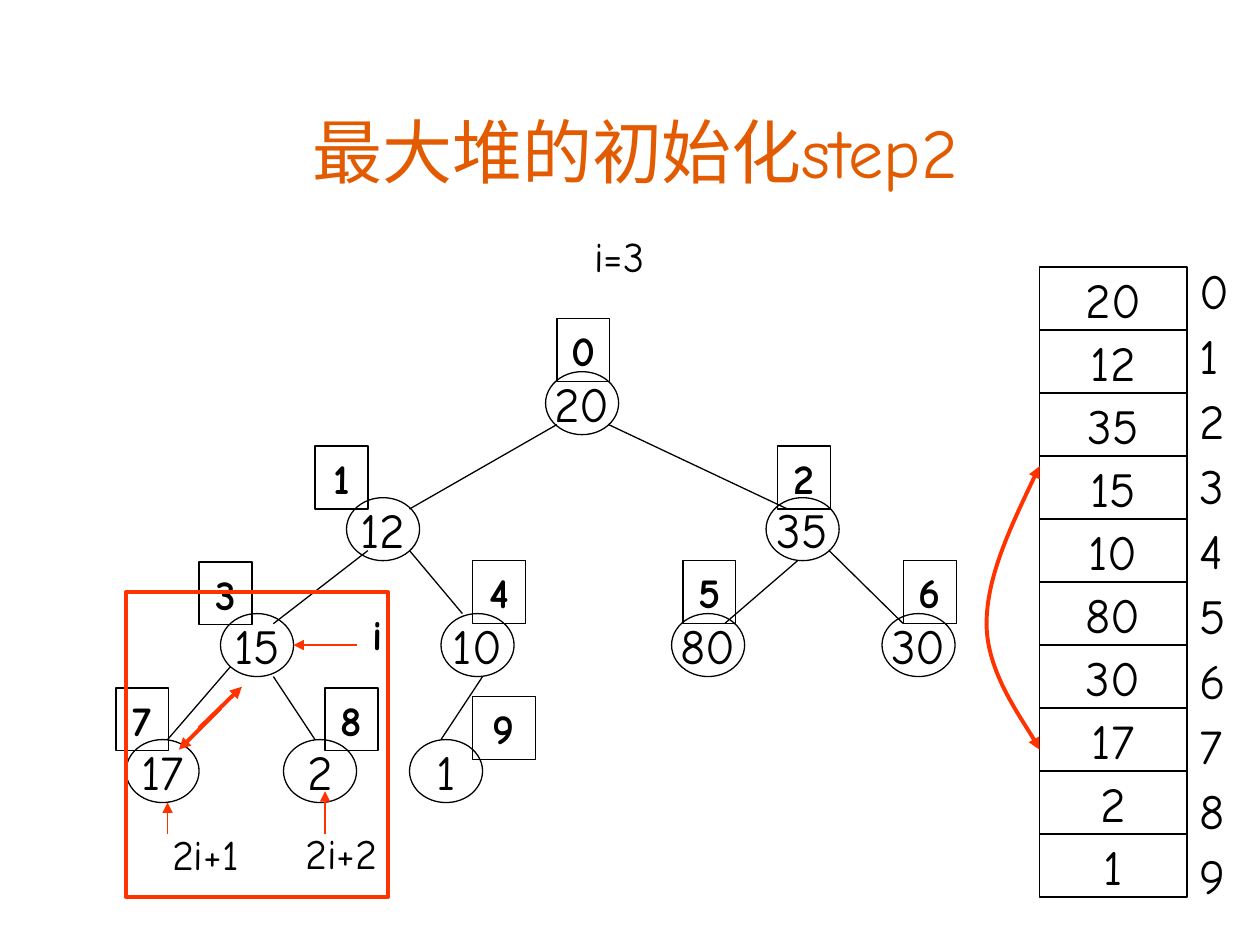
from lxml import etree
from pptx import Presentation, util as u
from pptx.dml.color import RGBColor
from pptx.enum import shapes as sh, text as tx
from pptx.oxml.ns import qn

FONT, INK, RED, RUST = "Comic Neue", "000000", "FF3300", "E25B00"
HEAP = [20, 12, 35, 15, 10, 80, 30, 17, 2, 1]
NODE, ROW = (0.58, 0.5), 0.5

# Left and top of each node, in heap order
NODES = [(4.33, 2.95), (2.75, 3.95), (6.08, 3.95), (1.75, 4.87), (3.5, 4.87),
         (5.33, 4.87), (7, 4.87), (1, 5.87), (2.25, 5.87), (3.25, 5.87)]
# Left, top and width of each index tag
TAGS = [(4.42, 2.53, 0.42), (2.5, 3.54, 0.42), (6.17, 3.54, 0.42),
        (1.58, 4.46, 0.42), (3.75, 4.45, 0.42), (5.42, 4.45, 0.42),
        (7.17, 4.45, 0.42), (0.92, 5.46, 0.42), (2.58, 5.46, 0.42),
        (3.75, 5.53, 0.5)]
EDGES = [(4.42, 3.37, 3.25, 4.04), (2.92, 4.37, 2.17, 4.95),
         (1.83, 5.29, 1.33, 5.87), (3.25, 4.37, 3.67, 4.87),
         (2.17, 5.37, 2.5, 5.87), (3.83, 5.37, 3.5, 5.87),
         (4.83, 3.37, 6.25, 4.04), (6.33, 4.45, 5.75, 4.95),
         (6.58, 4.37, 7.17, 4.95)]
LABELS = [("i", 2.75, 4.78, 0.5, True), ("2i+1", 1.17, 6.53, 0.92, False),
          ("2i+2", 2.25, 6.52, 0.92, False)]
HINTS = [(2.83, 5.12, 2.33, 5.12), (1.33, 6.62, 1.33, 6.37),
         (2.58, 6.62, 2.58, 6.28)]
SWAP = [(1.58, 5.78, 1.92, 5.45), (1.75, 5.62, 1.42, 5.95)]
CURVE = [(8.25, 3.7), (8.04, 4.14), (7.83, 4.58), (7.83, 4.95),
         (7.83, 5.33), (8.18, 5.8), (8.25, 5.95)]


def cm(*vals):
    """Turn inch values into lengths."""
    return [u.Cm(2.54 * v) for v in vals]


def tint(code):
    return RGBColor.from_string(code)


def put(obj, **vals):
    for key, val in vals.items():
        setattr(obj, key, val)


def write(shape, lines, size, color=INK, bold=False, gap=0,
          anchor=tx.MSO_ANCHOR.TOP, wrap=True):
    frame = shape.text_frame
    put(frame, word_wrap=wrap, auto_size=tx.MSO_AUTO_SIZE.NONE,
        vertical_anchor=anchor)
    frame.text = "\n".join(lines)
    for num, para in enumerate(frame.paragraphs):
        put(para, alignment=tx.PP_ALIGN.CENTER,
            space_before=u.Pt(gap if num else 0))
        put(para.font, name=FONT, size=u.Pt(size), bold=bold)
        para.font.color.rgb = tint(color)


def stroke(shape, color, width, ends=()):
    """Style a line; ends names the XML arrowheads, headEnd before tailEnd."""
    shape.line.color.rgb = tint(color)
    shape.line.width = u.Pt(width)
    for end in ends:
        etree.SubElement(shape.line._get_or_add_ln(), qn("a:" + end),
                         type="triangle")


def frame(slide, kind, box, color=INK, width=0.75):
    shape = slide.shapes.add_shape(kind, *cm(*box))
    shape.shadow.inherit = False
    shape.fill.background()
    stroke(shape, color, width)
    return shape


def cell(slide, kind, box, value):
    write(frame(slide, kind, box), [str(value)], 28,
          anchor=tx.MSO_ANCHOR.MIDDLE, wrap=False)


def label(slide, lines, box, size=24, **style):
    write(slide.shapes.add_textbox(*cm(*box)), lines, size, **style)


def link(slide, ends, color=INK, width=0.75, heads=()):
    line = slide.shapes.add_connector(sh.MSO_CONNECTOR.STRAIGHT, *cm(*ends))
    stroke(line, color, width, heads)
    etree.SubElement(line._element.spPr, qn("a:effectLst"))


def curve(slide, points):
    """Draw a red Bézier path: a start, then three points per segment."""
    first, *rest = [cm(*p) for p in points]
    pen = slide.shapes.build_freeform(*first)
    pen.add_line_segments(rest, close=False)
    shape = pen.convert_to_shape()
    shape.shadow.inherit = False
    shape.fill.background()
    stroke(shape, RED, 2.25, ("headEnd", "tailEnd"))
    steps = list(shape._element.iter(qn("a:lnTo")))
    path = steps[0].getparent()
    for at in range(0, len(steps), 3):
        bend = etree.SubElement(path, qn("a:cubicBezTo"))
        for step in steps[at:at + 3]:
            bend.append(step[0])
            path.remove(step)


def title(slide, words):
    shape = slide.shapes.title
    left, top, width, height = cm(0.75, 0.75, 8.58, 0.83)
    put(shape, left=left, top=top, width=width, height=height)
    write(shape, [words], 40, RUST, anchor=tx.MSO_ANCHOR.BOTTOM)


def tree(slide):
    for spot, value in zip(NODES, HEAP):
        cell(slide, sh.MSO_SHAPE.FLOWCHART_CONNECTOR, spot + NODE, value)
    for ends in EDGES:
        link(slide, ends)
    for num, tag in enumerate(TAGS):
        box = frame(slide, sh.MSO_SHAPE.RECTANGLE, tag + (0.5,))
        write(box, [str(num)], 24, bold=True)


def array(slide):
    for num, value in enumerate(HEAP):
        cell(slide, sh.MSO_SHAPE.FLOWCHART_PROCESS,
             (8.25, 2.12 + num * ROW, 1.17, ROW), value)
    label(slide, [str(n) for n in range(len(HEAP))],
          (9.42, 2.02, 0.35, 5.21), 28, gap=3.5)


def marks(slide):
    for words, left, top, width, bold in LABELS:
        label(slide, [words], (left, top, width, 0.5), bold=bold)
    for ends in HINTS:
        link(slide, ends, RED, heads=["tailEnd"])
    for ends in SWAP:
        link(slide, ends, RED, 2.25, ["tailEnd"])
    curve(slide, CURVE)


def main():
    deck = Presentation()
    deck.slide_width, deck.slide_height = cm(10, 7.5)
    slide = deck.slides.add_slide(deck.slide_layouts[5])
    title(slide, "最大堆的初始化step2")
    label(slide, ["i=3"], (0.5, 1.78, 8.83, 0.5))
    tree(slide)
    frame(slide, sh.MSO_SHAPE.RECTANGLE, (1, 4.7, 2.08, 2.42), RED, 2.25)
    array(slide)
    marks(slide)
    deck.save("out.pptx")


if __name__ == "__main__":
    main()
